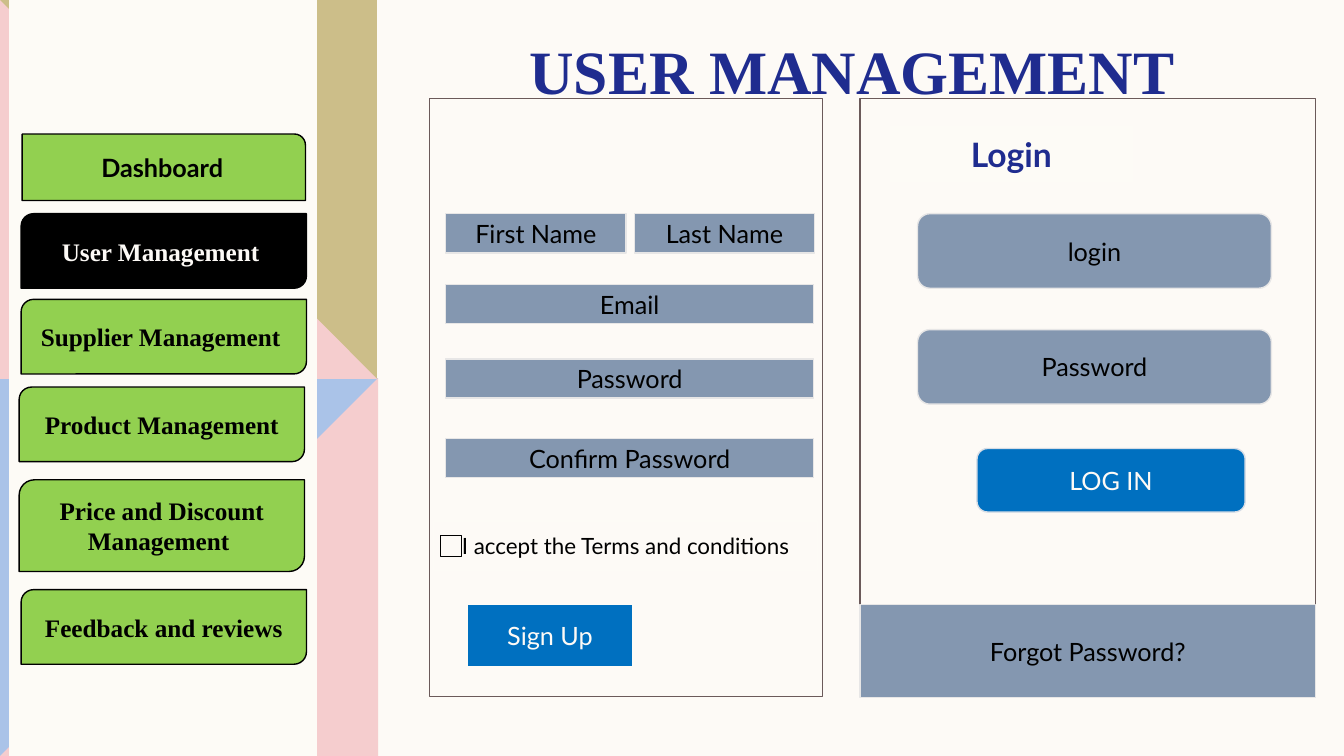
from pptx import Presentation
from pptx.dml.color import RGBColor
from pptx.enum.shapes import MSO_SHAPE
from pptx.enum.text import MSO_ANCHOR, PP_ALIGN
from pptx.util import Inches, Pt

RECT = MSO_SHAPE.RECTANGLE
ROUND = MSO_SHAPE.ROUNDED_RECTANGLE
DIAG = MSO_SHAPE.ROUND_2_DIAG_RECTANGLE
TAB = MSO_SHAPE.ROUND_1_RECTANGLE
MIDDLE, BOTTOM = MSO_ANCHOR.MIDDLE, MSO_ANCHOR.BOTTOM
CENTER = PP_ALIGN.CENTER

CREAM = RGBColor(0xFD, 0xFA, 0xF6)
IVORY = RGBColor(0xFD, 0xFB, 0xF6)
BLACK = RGBColor(0, 0, 0)
NAVY = RGBColor(0x1F, 0x2C, 0x8F)
BLUE = RGBColor(0x00, 0x70, 0xC0)
SLATE = RGBColor(0x84, 0x97, 0xB0)
GREEN = RGBColor(0x92, 0xD0, 0x50)
BROWN = RGBColor(0x6B, 0x5A, 0x5A)
GRAY = RGBColor(0xE7, 0xE6, 0xE6)
PALE = RGBColor(0xD6, 0xDC, 0xE5)
SKY = RGBColor(0xAA, 0xC3, 0xE8)
PINK = RGBColor(0xF5, 0xCD, 0xCE)
KHAKI = RGBColor(0xCC, 0xBE, 0x89)

LATO, TIMES = "Lato", "Times New Roman"

# Fill, line and font settings for each kind of part
STYLES = {
    "side": dict(fill=IVORY, line=IVORY),
    "panel": dict(fill=None, line=BROWN),
    "field": dict(fill=SLATE, line=GRAY, color=BLACK),
    "terms": dict(fill=CREAM, line=IVORY, color=BLACK, size=16),
    "sign": dict(fill=BLUE, line=IVORY, color=CREAM),
    "enter": dict(fill=BLUE, line=PALE, color=CREAM),
    "head": dict(fill=IVORY, line=CREAM, color=NAVY, size=24, bold=True),
    "check": dict(fill=CREAM, line=BLACK),
    "tab": dict(fill=GREEN, line=BLACK, color=BLACK, bold=True),
    "menu": dict(fill=GREEN, line=BLACK, color=BLACK, name=TIMES, bold=True),
    "active": dict(fill=BLACK, line=BLACK, color=CREAM, name=TIMES, bold=True),
}

MID = 3.75
BACKDROP = [
    (SKY, [(0, MID), (MID, MID), (MID, 7.5), (0, 7.5)]),
    (PINK, [(MID, MID), (MID, 7.5), (0, 7.5)]),
    (KHAKI, [(0, 0), (3.74, 0), (3.74, 3.76), (0, 3.76)]),
    (PINK, [(0, 0), (3.74, 3.76), (0, 3.76)]),
]

TITLE = "USER MANAGEMENT "

# Left, top, height, style, text
MENU = [
    (0.21, 2.12, 0.74, "active", "User Management "),
    (0.21, 2.97, 0.74, "menu", "Supplier Management "),
    (0.19, 3.84, 0.74, "menu", "Product Management"),
    (0.19, 4.76, 0.91, "menu", "Price and Discount Management "),
    (0.21, 5.85, 0.74, "menu", "Feedback and reviews"),
]
MENU_W = 2.83

# Left, top, width, text
FIELD_X, FIELD_W, FIELD_H = 4.42, 3.65, 0.39
FIELDS = [
    (FIELD_X, 2.12, 1.79, "First Name"),
    (6.29, 2.12, 1.79, "Last Name"),
    (FIELD_X, 2.82, FIELD_W, "Email"),
    (FIELD_X, 3.56, FIELD_W, "Password"),
    (FIELD_X, 4.35, FIELD_W, "Confirm Password"),
]

LOGINS = [(2.12, "login"), (3.27, "Password")]

PANEL_Y, PANEL_H = 0.98, 5.93
LOGIN_X, LOGIN_W = 8.53, 4.52

# Preset, left, top, width, height, style, text
PARTS = [
    (RECT, 0.1, 0, 3.04, 7.5, "side", ""),
    (TAB, 0.22, 1.33, 2.81, 0.66, "tab", "Dashboard"),
    *[(DIAG, x, y, MENU_W, h, style, text) for x, y, h, style, text in MENU],
    (RECT, 4.26, PANEL_Y, 3.9, PANEL_H, "panel", ""),
    *[(RECT, x, y, w, FIELD_H, "field", text) for x, y, w, text in FIELDS],
    (RECT, 4.3, 5.17, 3.81, 0.49, "terms", "I accept the Terms and conditions"),
    (RECT, 4.37, 5.31, 0.21, 0.21, "check", ""),
    (RECT, 4.63, 6, 1.65, 0.61, "sign", "Sign Up"),
    (RECT, LOGIN_X, PANEL_Y, LOGIN_W, PANEL_H, "panel", ""),
    (RECT, 8.82, 1.24, 2.42, 0.57, "head", "Login"),
    *[(ROUND, 9.1, y, 3.51, 0.74, "field", text) for y, text in LOGINS],
    (ROUND, 9.69, 4.45, 2.66, 0.63, "enter", "LOG IN"),
    (RECT, LOGIN_X, 6, LOGIN_W, 0.92, "field", "Forgot Password?"),
]


def write(shape, text, color, name=LATO, size=18, bold=False, anchor=MIDDLE):
    frame = shape.text_frame
    frame.word_wrap = True
    frame.vertical_anchor = anchor
    para = frame.paragraphs[0]
    para.alignment = CENTER
    run = para.add_run()
    run.text = text
    run.font.color.rgb = color
    for key, value in dict(name=name, size=Pt(size), bold=bold).items():
        setattr(run.font, key, value)


def paint(shape, fill, line=None):
    """Set fill and outline; None leaves either one off."""
    shape.shadow.inherit = False
    for part, color in ((shape.fill, fill), (shape.line.fill, line)):
        if color is None:
            part.background()
        else:
            part.solid()
            part.fore_color.rgb = color
    if line is not None:
        shape.line.width = Pt(1)


def add_patch(slide, color, points):
    start, *rest = [(Inches(x), Inches(y)) for x, y in points]
    outline = slide.shapes.build_freeform(*start)
    outline.add_line_segments(rest, close=True)
    paint(outline.convert_to_shape(), color)


def add_part(slide, preset, x, y, w, h, style, text):
    shape = slide.shapes.add_shape(preset, *map(Inches, (x, y, w, h)))
    font = dict(STYLES[style])
    paint(shape, font.pop("fill"), font.pop("line"))
    if text:
        write(shape, text, **font)


def main():
    deck = Presentation()
    deck.slide_width, deck.slide_height = Inches(13.33), Inches(7.5)
    slide = deck.slides.add_slide(deck.slide_layouts[6])
    slide.background.fill.solid()
    slide.background.fill.fore_color.rgb = CREAM

    for color, points in BACKDROP:
        add_patch(slide, color, points)

    title = slide.shapes.add_textbox(*map(Inches, (4.85, 0.23, 7.35, 0.83)))
    title.text_frame.margin_bottom = 0
    write(title, TITLE, NAVY, TIMES, 44, True, BOTTOM)

    for part in PARTS:
        add_part(slide, *part)
    deck.save("out.pptx")


if __name__ == "__main__":
    main()
